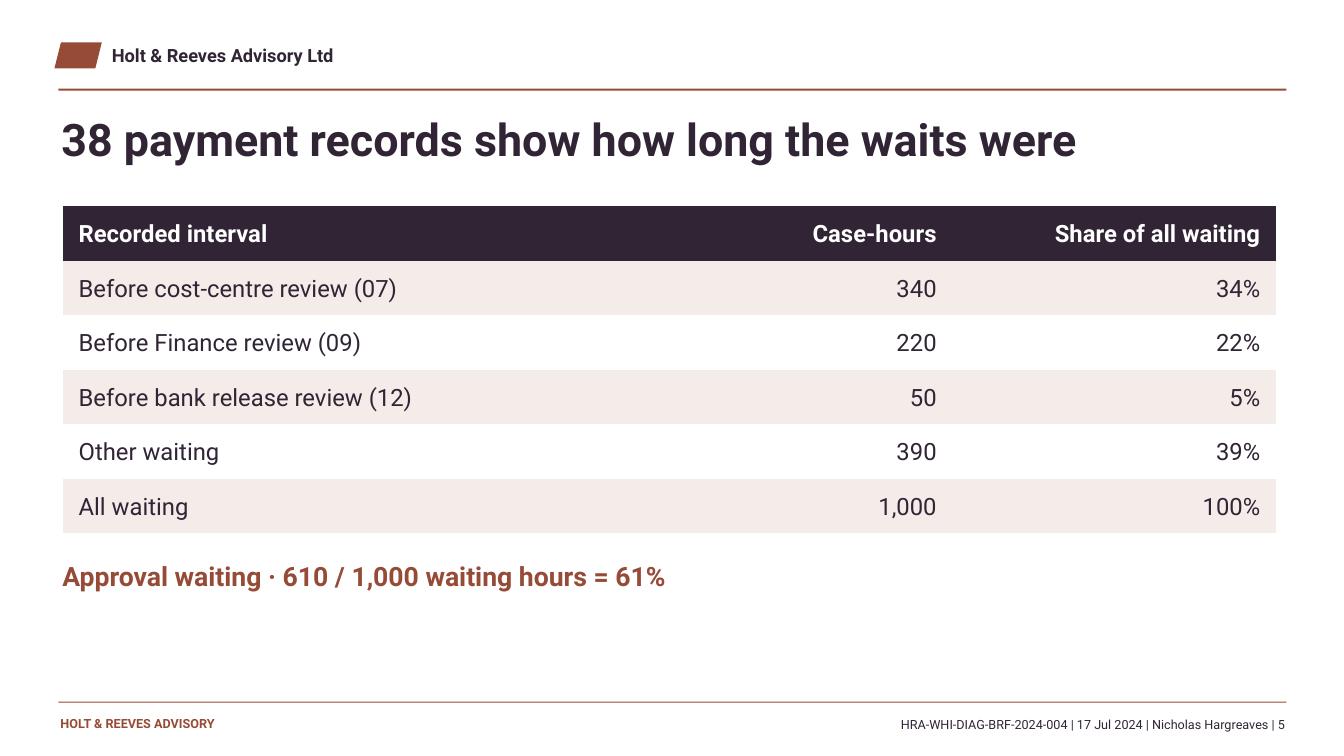
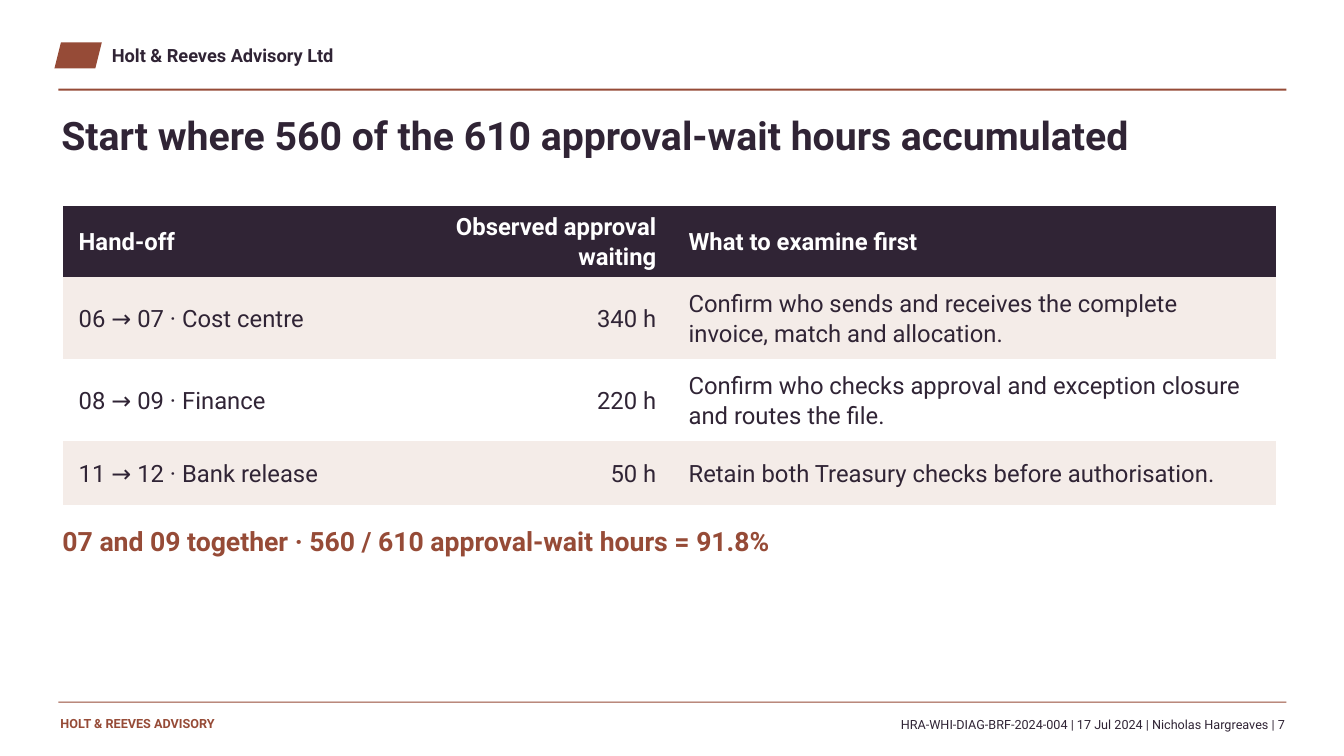
from dataclasses import dataclass

import pptx
import pptx.dml.color
import pptx.enum.shapes
import pptx.enum.text
import pptx.oxml.ns
import pptx.util

Inches = pptx.util.Inches
LEFT = pptx.enum.text.PP_ALIGN.LEFT
RIGHT = pptx.enum.text.PP_ALIGN.RIGHT
SHAPES = pptx.enum.shapes.MSO_SHAPE


@dataclass(frozen=True)
class Theme:
    font: str = "Roboto"
    dark: str = "302435"
    accent: str = "964B37"
    tint: str = "F4ECE8"
    white: str = "FFFFFF"
    brand_size: int = 13
    table_size: int = 17
    takeaway_size: int = 19
    footer_size: int = 9
    line_spacing: float = 1.08
    plain_table: str = "{2D5ABB26-0587-4C30-8999-92F81FD0307C}"


THEME = Theme()

# Content
BRAND = "Holt & Reeves Advisory Ltd"
FOOTER_BRAND = "HOLT & REEVES ADVISORY"
FOOTER = "HRA-WHI-DIAG-BRF-2024-004 | 17 Jul 2024 | Nicholas Hargreaves | {}"

SLIDES = [
    {
        "page": 5,
        "title": "38 payment records show how long the waits were",
        "title_size": 32,
        "columns": [6.7, 2.13, 3.21],
        "alignments": [LEFT, RIGHT, RIGHT],
        "row_heights": [0.55] + [0.54] * 5,
        "rows": [
            ("Recorded interval", "Case-hours", "Share of all waiting"),
            ("Before cost-centre review (07)", "340", "34%"),
            ("Before Finance review (09)", "220", "22%"),
            ("Before bank release review (12)", "50", "5%"),
            ("Other waiting", "390", "39%"),
            ("All waiting", "1,000", "100%"),
        ],
        "takeaway": "Approval waiting · 610 / 1,000 waiting hours = 61%",
    },
    {
        "page": 7,
        "title": "Start where 560 of the 610 approval-wait hours accumulated",
        "title_size": 28,
        "columns": [2.96, 3.09, 5.99],
        "alignments": [LEFT, RIGHT, LEFT],
        "row_heights": [0.64, 0.81, 0.81, 0.64],
        "rows": [
            ("Hand-off", "Observed approval waiting", "What to examine first"),
            ("06 → 07 · Cost centre", "340 h",
             "Confirm who sends and receives the complete invoice, match and allocation."),
            ("08 → 09 · Finance", "220 h",
             "Confirm who checks approval and exception closure and routes the file."),
            ("11 → 12 · Bank release", "50 h",
             "Retain both Treasury checks before authorisation."),
        ],
        "takeaway": "07 and 09 together · 560 / 610 approval-wait hours = 91.8%",
    },
]

# Layout, in inches
RULE_LEFT, RULE_WIDTH = 0.58, 12.18
TABLE_LEFT, TABLE_TOP = 0.62, 2.04
TAKEAWAY_GAP = 0.24


def color(value):
    return pptx.dml.color.RGBColor.from_string(value)


def style_text(text_frame, size, text_color, bold=False, alignment=LEFT,
               spacing=THEME.line_spacing):
    text_frame.word_wrap = True
    for paragraph in text_frame.paragraphs:
        paragraph.alignment = alignment
        paragraph.line_spacing = spacing
        for run in paragraph.runs:
            run.font.name = THEME.font
            run.font.size = pptx.util.Pt(size)
            run.font.bold = bold
            run.font.color.rgb = color(text_color)


def add_text(slide, box, text, size, text_color, **style):
    text_frame = slide.shapes.add_textbox(*map(Inches, box)).text_frame
    text_frame.margin_left = text_frame.margin_right = 0
    text_frame.margin_top = text_frame.margin_bottom = 0
    text_frame.text = text
    style_text(text_frame, size, text_color, **style)


def add_block(slide, kind, box, fill):
    shape = slide.shapes.add_shape(kind, *map(Inches, box))
    shape.shadow.inherit = False
    shape.fill.solid()
    shape.fill.fore_color.rgb = color(fill)
    shape.line.fill.background()


def add_frame(slide, page):
    """Brand header, rules and footer shared by every slide."""
    add_block(slide, SHAPES.PARALLELOGRAM, (0.54, 0.42, 0.47, 0.26), THEME.accent)
    add_text(slide, (1.11, 0.44, 6, 0.27), BRAND, THEME.brand_size, THEME.dark,
             bold=True, spacing=1.0)
    for top, height in ((0.88, 0.02), (6.96, 0.01)):
        add_block(slide, SHAPES.RECTANGLE, (RULE_LEFT, top, RULE_WIDTH, height),
                  THEME.accent)
    add_text(slide, (0.6, 7.1, 3.4, 0.25), FOOTER_BRAND, THEME.footer_size,
             THEME.accent, bold=True, spacing=1.0)
    add_text(slide, (4.12, 7.1, 8.62, 0.28), FOOTER.format(page),
             THEME.footer_size, THEME.dark, alignment=RIGHT)


def add_data_table(slide, content):
    rows, columns = content["rows"], content["columns"]
    heights = content["row_heights"]
    box = (TABLE_LEFT, TABLE_TOP, sum(columns), sum(heights))
    graphic_frame = slide.shapes.add_table(len(rows), len(columns), *map(Inches, box))
    for style_id in graphic_frame.element.iter(pptx.oxml.ns.qn("a:tableStyleId")):
        style_id.text = THEME.plain_table
    table = graphic_frame.table
    for column, width in zip(table.columns, columns):
        column.width = Inches(width)
    for row, height in zip(table.rows, heights):
        row.height = Inches(height)

    for row_index, texts in enumerate(rows):
        is_header = row_index == 0
        band = THEME.tint if row_index % 2 else THEME.white
        for column_index, text in enumerate(texts):
            cell = table.cell(row_index, column_index)
            cell.fill.solid()
            cell.fill.fore_color.rgb = color(THEME.dark if is_header else band)
            cell.margin_left = cell.margin_right = Inches(0.16)
            cell.margin_top = cell.margin_bottom = Inches(0.05)
            cell.vertical_anchor = pptx.enum.text.MSO_ANCHOR.MIDDLE
            cell.text_frame.text = text
            style_text(cell.text_frame, THEME.table_size,
                       THEME.white if is_header else THEME.dark, bold=is_header,
                       alignment=content["alignments"][column_index])


def add_content_slide(presentation, content):
    slide = presentation.slides.add_slide(presentation.slide_layouts[6])
    add_frame(slide, content["page"])
    add_text(slide, (0.61, 1.07, 12, 0.78), content["title"],
             content["title_size"], THEME.dark, bold=True)
    add_data_table(slide, content)
    takeaway_top = TABLE_TOP + sum(content["row_heights"]) + TAKEAWAY_GAP
    add_text(slide, (TABLE_LEFT, takeaway_top, sum(content["columns"]), 0.45),
             content["takeaway"], THEME.takeaway_size, THEME.accent, bold=True)


def main():
    presentation = pptx.Presentation()
    presentation.slide_width = Inches(13.33)
    presentation.slide_height = Inches(7.5)
    for content in SLIDES:
        add_content_slide(presentation, content)
    presentation.save("out.pptx")


if __name__ == "__main__":
    main()
